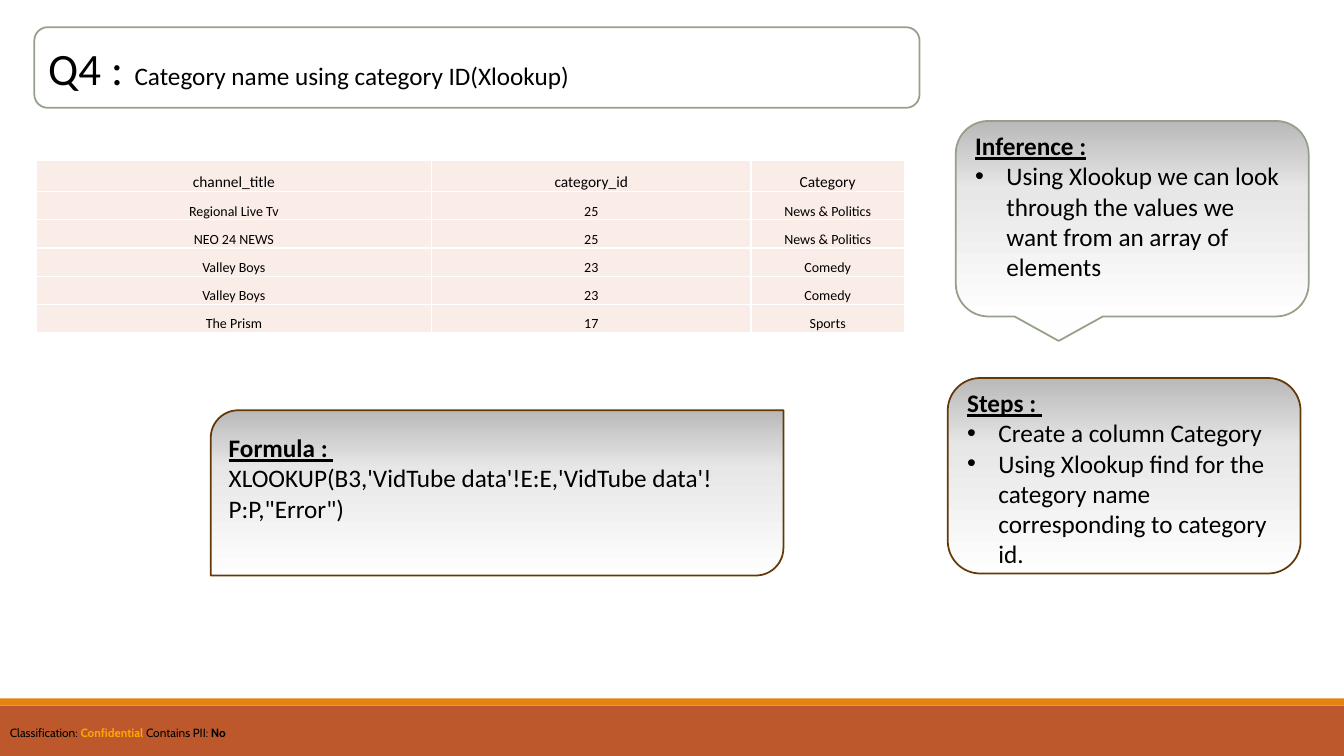
from copy import deepcopy

from lxml import etree
from pptx import Presentation
from pptx.dml.color import RGBColor
from pptx.enum.shapes import MSO_SHAPE
from pptx.enum.text import MSO_ANCHOR, PP_ALIGN
from pptx.oxml.ns import qn
from pptx.util import Inches, Pt

RECT = MSO_SHAPE.RECTANGLE
ROUNDED = MSO_SHAPE.ROUNDED_RECTANGLE
CALLOUT = MSO_SHAPE.ROUNDED_RECTANGULAR_CALLOUT
DIAGONAL = MSO_SHAPE.ROUND_2_DIAG_RECTANGLE
TOP, MIDDLE, BOTTOM = MSO_ANCHOR.TOP, MSO_ANCHOR.MIDDLE, MSO_ANCHOR.BOTTOM
LEFT, CENTER = PP_ALIGN.LEFT, PP_ALIGN.CENTER

BODY_FONT, FOOTER_FONT = "Calibri", "Cabin"
BLACK, WHITE, SAGE, BROWN = "000000", "FFFFFF", "94A088", "643908"
PANEL_GRADIENT = [(0, "FEFEFE"), (0.65, "E7E7E7"), (1, "B9B9B9")]
BULLET_INDENT = Inches(0.31)

COLUMN_WIDTHS = [3.92, 3.17, 1.52]
HEADER_HEIGHT, ROW_HEIGHT = 0.31, 0.28
CHANNELS = [
    ("channel_title", "category_id", "Category"),
    ("Regional Live Tv", "25", "News & Politics"),
    ("NEO 24 NEWS", "25", "News & Politics"),
    ("Valley Boys", "23", "Comedy"),
    ("Valley Boys", "23", "Comedy"),
    ("The Prism", "17", "Sports"),
]


def rgb(value):
    """Turn a hex string into a colour."""
    return RGBColor.from_string(value)


def style(font, size, color=BLACK, name=BODY_FONT):
    """Set the size, colour and typeface of a font."""
    font.size, font.name = Pt(size), name
    font.color.rgb = rgb(color)


def add_box(slide, kind, box, fill=None, line=None):
    """Add a shape without shadow, with an optional fill and outline."""
    shape = slide.shapes.add_shape(kind, *map(Inches, box))
    shape.shadow.inherit = False
    if fill:
        shape.fill.solid()
        shape.fill.fore_color.rgb = rgb(fill)
    if line:
        shape.line.color.rgb = rgb(line)
        shape.line.width = Pt(1.25)
    else:
        shape.line.fill.background()
    return shape


def apply_gradient(shape, stops):
    """Fill a shape with a vertical gradient that runs upwards."""
    shape.fill.gradient()
    shape.fill.gradient_angle = 90
    stop_list = shape._element.spPr.find(".//" + qn("a:gsLst"))
    while len(stop_list) < len(stops):
        stop_list.append(deepcopy(stop_list[0]))
    for stop, (position, color) in zip(shape.fill.gradient_stops, stops):
        stop.position = position
        stop.color.rgb = rgb(color)


def add_bullet(paragraph):
    """Give a paragraph a hanging bullet."""
    properties = paragraph._p.get_or_add_pPr()
    properties.set("marL", str(BULLET_INDENT))
    properties.set("indent", str(-BULLET_INDENT))
    etree.SubElement(properties, qn("a:buFont"), typeface="Arial")
    etree.SubElement(properties, qn("a:buChar"), char="•")


def add_footer(slide, box):
    """Draw the footer band with its accent strip and classification."""
    left, top, width, height = box
    strip = 0.07
    add_box(slide, RECT, (left, top + strip, width, height - strip), "BD582C")
    add_box(slide, RECT, (left, top, width, strip), "E48312")
    label = slide.shapes.add_textbox(*map(Inches, (left, top + 0.22, width, 0.24)))
    label.text_frame.word_wrap = True
    paragraph = label.text_frame.paragraphs[0]
    for text, color, bold in [
        ("Classification: ", BLACK, False),
        ("Confidential", "FFA500", True),
        (" Contains PII: ", BLACK, False),
        ("No", BLACK, True),
    ]:
        run = paragraph.add_run()
        run.text = text
        style(run.font, 8.5, color, FOOTER_FONT)
        run.font.bold = bold


def add_title(slide, box):
    """Draw the question title in its rounded frame."""
    frame = add_box(slide, ROUNDED, box, WHITE, SAGE).text_frame
    frame.word_wrap = True
    frame.vertical_anchor = MIDDLE
    paragraph = frame.paragraphs[0]
    paragraph.alignment = LEFT
    for text, size in [("Q4 :", 32), ("  Category name using category ID(Xlookup)", 18)]:
        run = paragraph.add_run()
        run.text = text
        style(run.font, size)


def add_panel(slide, kind, box, outline, heading, lines, bulleted=True, top_inset=0):
    """Draw a gradient panel with an underlined heading above its lines."""
    panel = add_box(slide, kind, box, line=outline)
    apply_gradient(panel, PANEL_GRADIENT)
    frame = panel.text_frame
    frame.word_wrap = True
    frame.vertical_anchor = TOP
    frame.margin_top, frame.margin_bottom = Inches(top_inset), 0
    for index, text in enumerate([heading, *lines]):
        paragraph = frame.add_paragraph() if index else frame.paragraphs[0]
        paragraph.text = text
        paragraph.alignment = LEFT
        style(paragraph.font, 18)
        if index == 0:
            run_font = paragraph.runs[0].font
            run_font.bold = run_font.underline = True
        elif bulleted:
            add_bullet(paragraph)


def add_cell_borders(cell):
    """Outline a table cell with thin white lines."""
    properties = cell._tc.get_or_add_tcPr()
    for index, side in enumerate(("lnL", "lnR", "lnT", "lnB")):
        border = etree.Element(qn("a:" + side), w=str(Pt(1)))
        fill = etree.SubElement(border, qn("a:solidFill"))
        etree.SubElement(fill, qn("a:srgbClr"), val=WHITE)
        properties.insert(index, border)


def add_channel_table(slide, left, top):
    """Draw the table of channels and their categories."""
    height = HEADER_HEIGHT + ROW_HEIGHT * (len(CHANNELS) - 1)
    table = slide.shapes.add_table(
        len(CHANNELS), len(COLUMN_WIDTHS),
        *map(Inches, (left, top, sum(COLUMN_WIDTHS), height)),
    ).table
    for column, width in zip(table.columns, COLUMN_WIDTHS):
        column.width = Inches(width)
    for row_index, values in enumerate(CHANNELS):
        table.rows[row_index].height = Inches(ROW_HEIGHT if row_index else HEADER_HEIGHT)
        for cell, value in zip(table.rows[row_index].cells, values):
            cell.text = value
            cell.vertical_anchor = BOTTOM
            cell.margin_left = cell.margin_right = cell.margin_top = Inches(0.01)
            cell.margin_bottom = 0
            cell.fill.solid()
            cell.fill.fore_color.rgb = rgb("FAEDE7")
            add_cell_borders(cell)
            paragraph = cell.text_frame.paragraphs[0]
            paragraph.alignment = CENTER
            style(paragraph.font, 10 if row_index else 11)
            paragraph.font.bold = False


def main():
    """Build and save the slide."""
    deck = Presentation()
    deck.slide_width, deck.slide_height = Inches(13.33), Inches(7.5)
    slide = deck.slides.add_slide(deck.slide_layouts[6])
    add_footer(slide, (0, 6.93, 13.33, 0.57))
    add_title(slide, (0.34, 0.27, 8.78, 0.8))
    add_panel(slide, CALLOUT, (9.48, 1.2, 3.5, 1.94), SAGE, "Inference :", [
        "Using Xlookup we can look through the values we want from an array of elements",
    ])
    add_panel(slide, ROUNDED, (9.4, 3.75, 3.5, 1.94), BROWN, "Steps : ", [
        "Create a column Category",
        "Using Xlookup find for the category name corresponding to category id.",
    ])
    add_panel(slide, DIAGONAL, (2.09, 4.07, 5.68, 1.64), BROWN, "Formula : ", [
        "XLOOKUP(B3,'VidTube data'!E:E,'VidTube data'!P:P,\"Error\")",
    ], bulleted=False, top_inset=0.14)
    add_channel_table(slide, 0.36, 1.59)
    deck.save("out.pptx")


if __name__ == "__main__":
    main()
